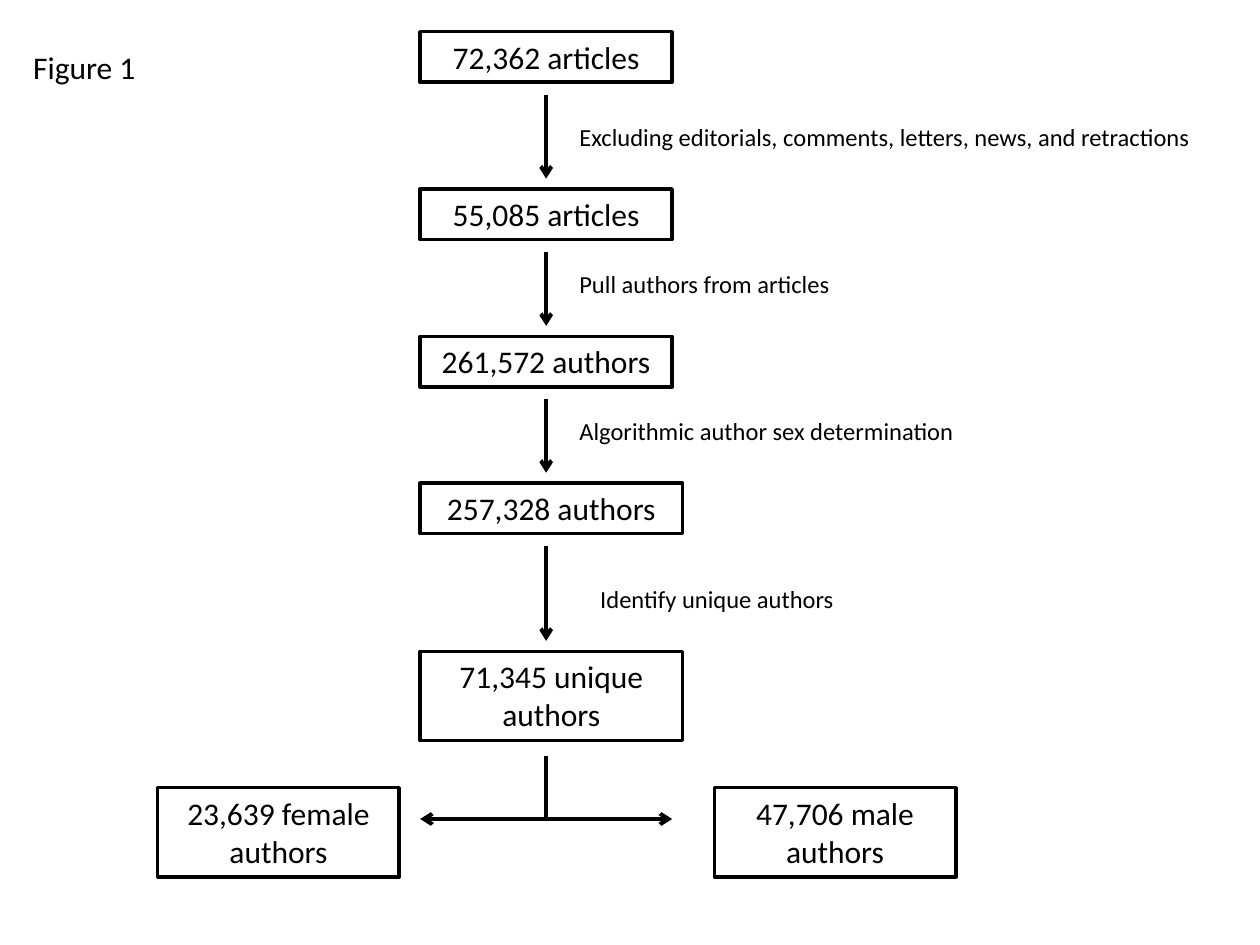
from lxml import etree
from pptx import Presentation
from pptx import util as u
from pptx.dml.color import RGBColor
from pptx.enum import shapes, text
from pptx.oxml.ns import qn

THEME = {
    "ink": RGBColor(0, 0, 0),
    "paper": RGBColor(255, 255, 255),
    "font": "Calibri",
    "body": u.Pt(18),
    "note": u.Pt(14),
    "edge": u.Pt(2),
    "stroke": u.Pt(2.25),
}


def apply(item, **vals):
    """Set each named attribute on an item."""
    for key, val in vals.items():
        setattr(item, key, val)


def write(shape, words, size, align, wrap=True):
    """Put one styled paragraph into a shape."""
    frame = shape.text_frame
    apply(frame, word_wrap=wrap, auto_size=text.MSO_AUTO_SIZE.SHAPE_TO_FIT_TEXT)
    para = frame.paragraphs[0]
    para.alignment = align
    run = para.add_run()
    run.text = words
    apply(run.font, name=THEME["font"], size=size)
    run.font.color.rgb = THEME["ink"]


def label(slide, box, words, size, wrap=True):
    """Add left-aligned text in a box."""
    area = slide.shapes.add_textbox(*map(u.Cm, box))
    write(area, words, size, text.PP_ALIGN.LEFT, wrap)


def node(slide, box, words):
    """Add an outlined box with centred text."""
    rect = slide.shapes.add_shape(shapes.MSO_SHAPE.RECTANGLE, *map(u.Cm, box))
    rect.shadow.inherit = False
    rect.fill.solid()
    rect.fill.fore_color.rgb = THEME["paper"]
    rect.line.color.rgb = THEME["ink"]
    rect.line.width = THEME["edge"]
    write(rect, words, THEME["body"], text.PP_ALIGN.CENTER)
    rect.text_frame.vertical_anchor = text.MSO_ANCHOR.TOP


def link(slide, ends, heads=()):
    """Draw a straight line with open arrowheads at the named ends."""
    line = slide.shapes.add_connector(shapes.MSO_CONNECTOR.STRAIGHT, *map(u.Cm, ends))
    line.line.color.rgb = THEME["ink"]
    line.line.width = THEME["stroke"]
    stroke = line.line._get_or_add_ln()
    for head in heads:
        etree.SubElement(stroke, qn("a:" + head), type="arrow")
    etree.SubElement(line._element.spPr, qn("a:effectLst"))


def flow(slide, left, top, steps):
    """Stack the steps downward, joined by arrows with notes beside them."""
    axis = left + 2.54
    for step, after in zip(steps, steps[1:] + [None]):
        drop, wide, high, words, note = step
        node(slide, (left, top + drop, wide, high), words)
        if after:
            link(slide, (axis, top + drop + high + 0.25, axis, top + after[0] - 0.21), ["tailEnd"])
            dx, dy, span, remark = note
            label(slide, (left + dx, top + dy, span, 0.86), remark, THEME["note"])


def split(slide, left, top, names):
    """Branch the flow into two side boxes."""
    axis, bar = left + 7.82, top + 1.27
    link(slide, (axis, top, axis, bar))
    link(slide, (axis - 2.53, bar, axis + 2.55, bar), ["headEnd", "tailEnd"])
    for i, name in enumerate(names):
        node(slide, (left + i * 11.22, top + 0.64, 4.87, 1.8), name)


def main():
    """Build and save the slide."""
    deck = Presentation()
    apply(deck, slide_width=u.Cm(25.4), slide_height=u.Cm(19.05))
    slide = deck.slides.add_slide(deck.slide_layouts[6])
    label(slide, (0.42, 0.85, 2.59, 1.02), "Figure 1", THEME["body"], False)
    flow(slide, 8.47, 0.64, [
        (0, 5.08, 1.02, "72,362 articles",
         (2.96, 1.7, 13.13, "Excluding editorials, comments, letters, news, and retractions")),
        (3.17, 5.08, 1.02, "55,085 articles",
         (2.96, 4.65, 8.26, "Pull authors from articles")),
        (6.14, 5.08, 1.02, "261,572 authors",
         (2.96, 7.62, 8.26, "Algorithmic author sex determination")),
        (9.1, 5.29, 1.02, "257,328 authors",
         (3.38, 11, 8.26, "Identify unique authors")),
        (12.49, 5.29, 1.8, "71,345 unique authors", None),
    ])
    split(slide, 3.18, 15.24, ["23,639 female authors", "47,706 male authors"])
    deck.save("out.pptx")


main()
